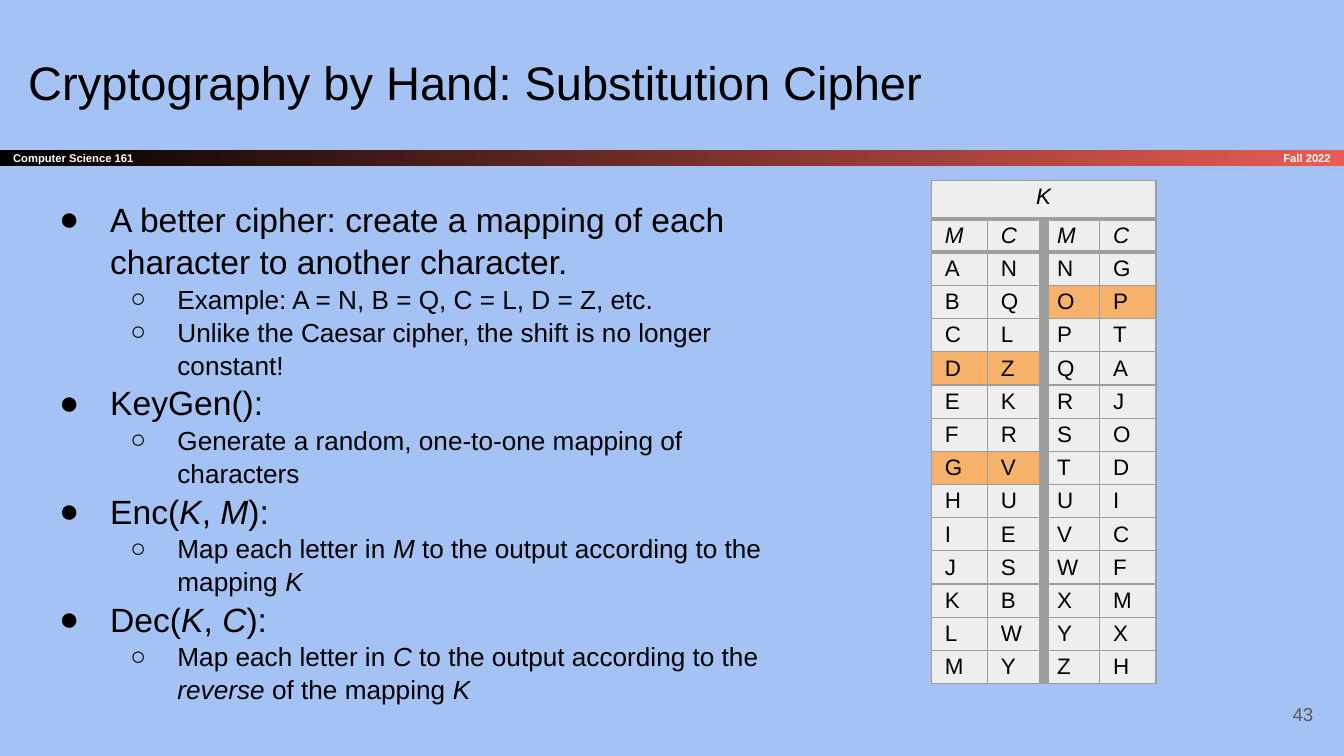
import pptx
import pptx.dml.color
import pptx.enum.shapes
import pptx.enum.text
import pptx.oxml
import pptx.oxml.ns
import pptx.util
from dataclasses import dataclass

ALIGN = pptx.enum.text.PP_ALIGN
ANCHOR = pptx.enum.text.MSO_ANCHOR


@dataclass(frozen=True)
class Theme:
    font: str = "Arial"
    background: str = "A4C2F4"
    ink: str = "000000"
    accent: str = "E85C54"
    light: str = "FFFFFF"
    muted: str = "595959"
    cell: str = "EEEEEE"
    highlight: str = "F6B26B"
    border: str = "9E9E9E"
    title_size: float = 25.2
    level_sizes: tuple = (18, 14)
    table_size: float = 12
    number_size: float = 10
    strip_size: float = 6
    thin: float = 0.75
    header_rule: float = 2.25
    divider: float = 6


THEME = Theme()

# Asterisks enclose italic words.
TITLE = "Cryptography by Hand: Substitution Cipher"
COURSE, TERM, PAGE = "Computer Science 161", "Fall 2022", "43"
POINTS = [
    (0, "A better cipher: create a mapping of each character to another character."),
    (1, "Example: A = N, B = Q, C = L, D = Z, etc."),
    (1, "Unlike the Caesar cipher, the shift is no longer constant!"),
    (0, "KeyGen():"),
    (1, "Generate a random, one-to-one mapping of characters"),
    (0, "Enc(*K*, *M*):"),
    (1, "Map each letter in *M* to the output according to the mapping *K*"),
    (0, "Dec(*K*, *C*):"),
    (1, "Map each letter in *C* to the output according to the *reverse* of the mapping *K*"),
]
LEVELS = [("●", 0.5, -0.38), ("○", 1, -0.35)]  # bullet, margin, indent
PLAIN = "ABCDEFGHIJKLMNOPQRSTUVWXYZ"
CIPHER = "NQLZKRVUESBWYGPTAJODICFMXH"
HIGHLIGHTED = "DGO"

# Grid of 100 columns, each a hundredth of the slide's width; rows are as tall.
SLIDE_WIDTH = 10
SLIDE_HEIGHT = SLIDE_WIDTH * 9 / 16
UNIT = SLIDE_WIDTH / 100
STRIP_TOP, STRIP_HEIGHT = 11.15, 1.2
TABLE_LEFT, TABLE_TOP = 69.3, 13.4
COLUMN, KEY_ROW, LETTER_ROW = 4.18, 2.9, 2.4


def units(*counts):
    return [pptx.util.Inches(count * UNIT) for count in counts]


def rgb(value):
    return pptx.dml.color.RGBColor.from_string(value)


def assign(target, values):
    for name, value in values.items():
        setattr(target, name, value)


def write(paragraph, text, size, color=THEME.ink, bold=False, align=ALIGN.LEFT):
    """Fill a paragraph, turning words between asterisks italic."""
    assign(paragraph, {"alignment": align, "space_before": pptx.util.Pt(0),
                       "space_after": pptx.util.Pt(0)})
    for index, part in enumerate(text.split("*")):
        if part:
            run = paragraph.add_run()
            run.text = part
            assign(run.font, {"name": THEME.font, "size": pptx.util.Pt(size),
                              "bold": bold, "italic": index % 2 == 1})
            run.font.color.rgb = rgb(color)


def prepare(frame, anchor):
    inset = pptx.util.Inches(0.1)
    assign(frame, {"word_wrap": True, "vertical_anchor": anchor,
                   "auto_size": pptx.enum.text.MSO_AUTO_SIZE.NONE,
                   "margin_left": inset, "margin_right": inset,
                   "margin_top": inset, "margin_bottom": inset})
    return frame


def place(shape, *box):
    assign(shape, dict(zip(("left", "top", "width", "height"), units(*box))))


def add_bullet(paragraph, char, margin, indent):
    properties = paragraph._p.get_or_add_pPr()
    properties.set("marL", str(pptx.util.Inches(margin)))
    properties.set("indent", str(pptx.util.Inches(indent)))
    space = pptx.oxml.ns.nsdecls("a")
    for xml in (f'<a:buClr {space}><a:srgbClr val="{THEME.ink}"/></a:buClr>',
                f'<a:buFont {space} typeface="{THEME.font}"/>',
                f'<a:buChar {space} char="{char}"/>'):
        properties.append(pptx.oxml.parse_xml(xml))


def add_points(body):
    frame = prepare(body.text_frame, ANCHOR.TOP)
    for index, (level, text) in enumerate(POINTS):
        paragraph = frame.add_paragraph() if index else frame.paragraphs[0]
        paragraph.level = level
        add_bullet(paragraph, *LEVELS[level])
        paragraph.line_spacing = 1.05
        write(paragraph, text, THEME.level_sizes[level])


def add_strip(slide):
    strip = slide.shapes.add_shape(pptx.enum.shapes.MSO_SHAPE.RECTANGLE,
                                   *units(0, STRIP_TOP, 100, STRIP_HEIGHT))
    strip.shadow.inherit = False
    strip.line.fill.background()
    strip.fill.gradient()
    strip.fill.gradient_angle = 0
    for stop, color in zip(strip.fill.gradient_stops, (THEME.ink, THEME.accent)):
        stop.color.rgb = rgb(color)
    write(prepare(strip.text_frame, ANCHOR.MIDDLE).paragraphs[0], COURSE,
          THEME.strip_size, THEME.light, True)


def add_label(slide, text, box, size, color, bold=False):
    label = slide.shapes.add_textbox(*units(*box))
    write(prepare(label.text_frame, ANCHOR.MIDDLE).paragraphs[0], text, size,
          color, bold, ALIGN.RIGHT)


def set_borders(cell, row, column):
    def vertical(edge):
        return THEME.divider if edge == 2 and row else THEME.thin

    def horizontal(edge):
        return THEME.header_rule if edge in (1, 2) else THEME.thin

    widths = {"lnL": vertical(column), "lnR": vertical(column + 1),
              "lnT": horizontal(row), "lnB": horizontal(row + 1)}
    properties = cell._tc.get_or_add_tcPr()
    for index, (side, width) in enumerate(widths.items()):
        properties.insert(index, pptx.oxml.parse_xml(
            f'<a:{side} {pptx.oxml.ns.nsdecls("a")} w="{pptx.util.Pt(width)}">'
            f'<a:solidFill><a:srgbClr val="{THEME.border}"/></a:solidFill></a:{side}>'))


def add_key_table(slide):
    pairs = list(zip(PLAIN, CIPHER))
    half = len(pairs) // 2
    rows = [("*K*", "", "", ""), ("*M*", "*C*") * 2]
    rows += [left + right for left, right in zip(pairs[:half], pairs[half:])]
    heights = [KEY_ROW] + [LETTER_ROW] * (len(rows) - 1)
    table = slide.shapes.add_table(len(rows), 4, *units(
        TABLE_LEFT, TABLE_TOP, 4 * COLUMN, sum(heights))).table
    assign(table, {"first_row": False, "horz_banding": False})
    for column in table.columns:
        column.width = units(COLUMN)[0]
    table.cell(0, 0).merge(table.cell(0, 3))
    for r, texts in enumerate(rows):
        table.rows[r].height = units(heights[r])[0]
        for c, text in enumerate(texts):
            cell = table.cell(r, c)
            marked = r > 1 and texts[c - c % 2] in HIGHLIGHTED
            cell.fill.solid()
            cell.fill.fore_color.rgb = rgb(THEME.highlight if marked else THEME.cell)
            side, end = pptx.util.Inches(0.1), pptx.util.Inches(0.03)
            assign(cell, {"margin_left": side, "margin_right": side,
                          "margin_top": end, "margin_bottom": end})
            set_borders(cell, r, c)
            write(cell.text_frame.paragraphs[0], text, THEME.table_size,
                  align=ALIGN.LEFT if r else ALIGN.CENTER)


def main():
    deck = pptx.Presentation()
    assign(deck, {"slide_width": pptx.util.Inches(SLIDE_WIDTH),
                  "slide_height": pptx.util.Inches(SLIDE_HEIGHT)})
    slide = deck.slides.add_slide(deck.slide_layouts[1])
    slide.background.fill.solid()
    slide.background.fill.fore_color.rgb = rgb(THEME.background)

    title, body = slide.shapes.title, slide.placeholders[1]
    place(title, 1.1, 3, 93.2, 6.3)
    write(prepare(title.text_frame, ANCHOR.TOP).paragraphs[0], TITLE, THEME.title_size)
    place(body, 2.2, 13.65, 56.2, 41.2)
    add_points(body)
    add_strip(slide)
    add_label(slide, TERM, (83.4, STRIP_TOP, 16.6, STRIP_HEIGHT),
              THEME.strip_size, THEME.light, True)
    add_label(slide, PAGE, (92.7, 51, 6, 4.3), THEME.number_size, THEME.muted)
    add_key_table(slide)
    deck.save("out.pptx")


if __name__ == "__main__":
    main()
